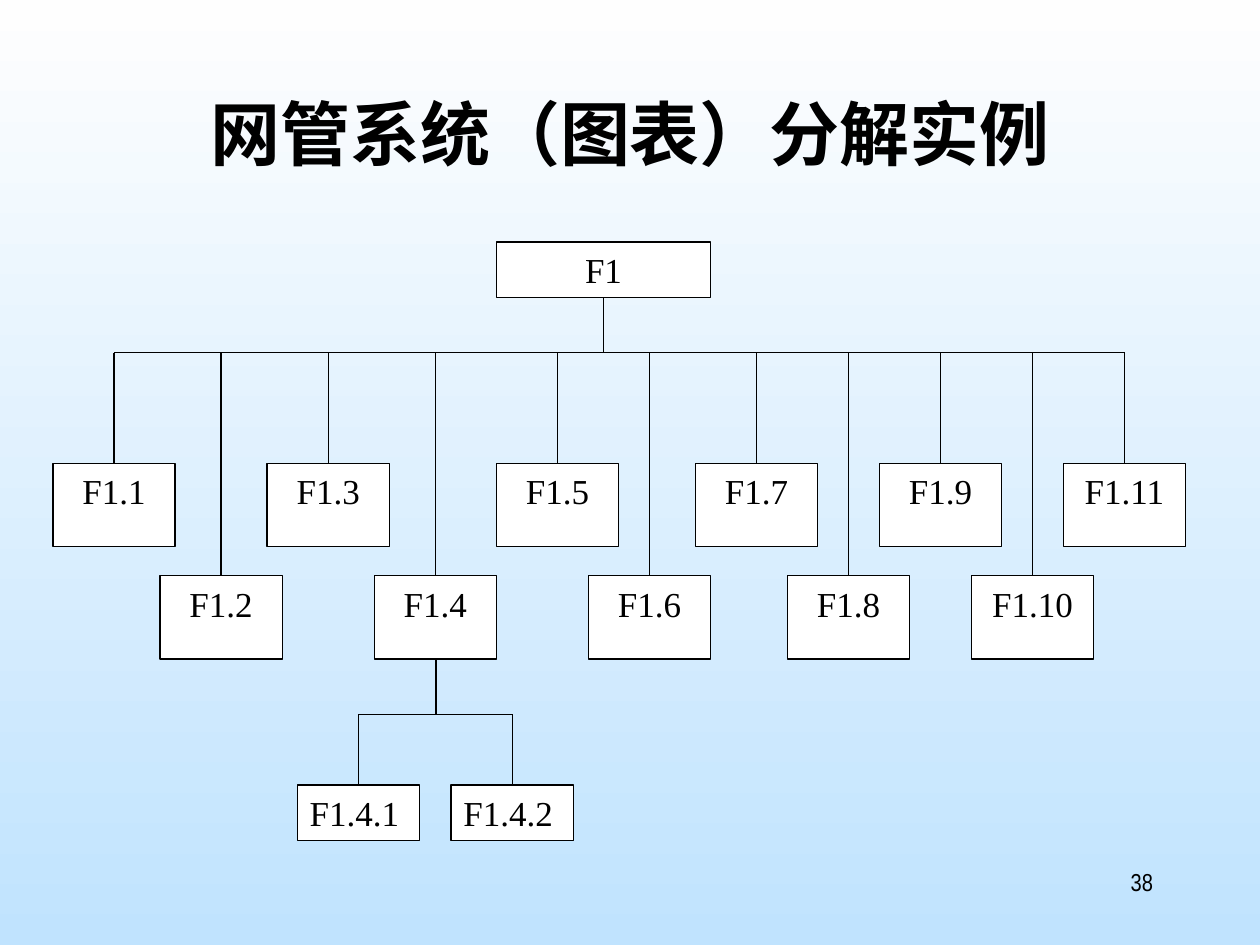
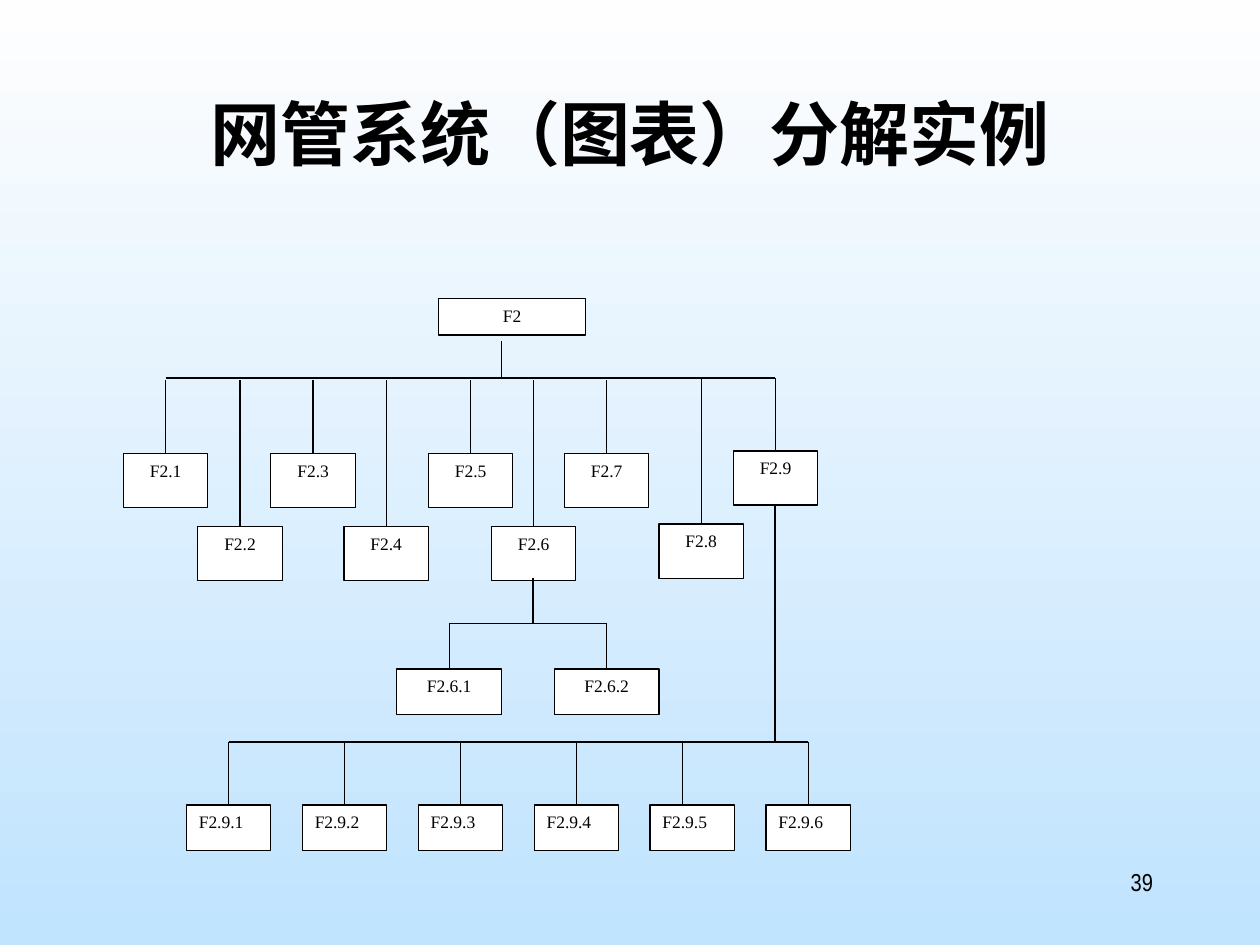
from dataclasses import dataclass, field
from itertools import cycle

from lxml import etree
from pptx import Presentation
from pptx.dml.color import RGBColor
from pptx.enum.shapes import MSO_CONNECTOR, MSO_SHAPE
from pptx.enum.text import MSO_ANCHOR, PP_ALIGN
from pptx.oxml.ns import qn
from pptx.util import Inches, Pt

RECTANGLE = MSO_SHAPE.RECTANGLE
STRAIGHT = MSO_CONNECTOR.STRAIGHT
TOP = MSO_ANCHOR.TOP
CENTER = PP_ALIGN.CENTER
RIGHT = PP_ALIGN.RIGHT
JUSTIFY = PP_ALIGN.JUSTIFY


@dataclass(frozen=True)
class Theme:
    ink: RGBColor = RGBColor.from_string("000000")
    node_fill: RGBColor = RGBColor.from_string("FFFFFF")
    sky_top: RGBColor = RGBColor.from_string("FEFEFE")
    sky_bottom: RGBColor = RGBColor.from_string("C0E3FE")
    title_font: str = "Noto Sans CJK SC"
    node_font: str = "Times New Roman"
    number_font: str = "Arial Narrow"
    title_size: int = 40
    large_node_size: int = 20
    small_node_size: int = 10
    number_size: int = 14
    line_width: float = 0.75


@dataclass(frozen=True)
class Box:
    left: float
    top: float
    width: float
    height: float

    def inside(self, area):
        return Box(area.left + self.left, area.top + self.top, self.width, self.height)

    def lengths(self):
        return [Inches(n) for n in (self.left, self.top, self.width, self.height)]


@dataclass(frozen=True)
class Family:
    parent: str
    trunk: tuple
    rail: float
    lefts: list
    tops: list
    width: float
    height: float
    align: PP_ALIGN = CENTER
    lowered: int = 0
    drop_shifts: dict = field(default_factory=dict)


@dataclass(frozen=True)
class Tree:
    number: str
    area: Box
    root: str
    root_box: Box
    text_size: int
    families: list


THEME = Theme()
TITLE = "网管系统（图表）分解实例"
TITLE_BOX = Box(0.75, 0.67, 8.5, 1.25)
NUMBER_BOX = Box(7.17, 6.83, 2.08, 0.5)
LOWERING = 0.02

TREES = [
    Tree("38", Box(0.42, 1.92, 8.99, 4.75), "F1", Box(3.52, 0, 1.7, 0.44),
         THEME.large_node_size, [
        Family("F1", (4.37, 0.44), 0.88,
               [0, 0.85, 1.7, 2.55, 3.52, 4.25, 5.1, 5.83, 6.56, 7.29, 8.02],
               [1.76, 2.65], 0.97, 0.66),
        Family("F1.4", (3.04, 3.31), 3.75, [1.94, 3.16], [4.31], 0.97, 0.44, JUSTIFY),
    ]),
    Tree("39", Box(0.98, 2.37, 5.76, 4.38), "F2", Box(2.5, 0, 1.17, 0.29),
         THEME.small_node_size, [
        Family("F2", (3, 0.34), 0.63,
               [0, 0.59, 1.17, 1.75, 2.42, 2.92, 3.5, 4.25, 4.84],
               [1.21, 1.79], 0.67, 0.43, lowered=7),
        Family("F2.6", (3.25, 2.22), 2.58, [2.17, 3.42], [2.94], 0.83, 0.36),
        Family("F2.9", (5.17, 1.64), 3.52, [0.5 + 0.92 * step for step in range(6)],
               [4.02], 0.67, 0.36, JUSTIFY, drop_shifts={5: -0.08}),
    ]),
]


def write_text(shape, text, font_name, size, align, bold=False):
    frame = shape.text_frame
    frame.word_wrap = True
    frame.vertical_anchor = TOP
    frame.text = text
    para = frame.paragraphs[0]
    para.alignment = align
    span = para.runs[0]
    span.font.name = font_name
    span.font.size = Pt(size)
    span.font.bold = bold
    span.font.color.rgb = THEME.ink
    east_asian = etree.SubElement(span.font._element, qn("a:ea"))
    east_asian.set("typeface", font_name)


def draw_background(page):
    fill = page.background.fill
    fill.gradient()
    fill.gradient_angle = 270
    for stop, position, color in zip(
        fill.gradient_stops, (0, 1), (THEME.sky_top, THEME.sky_bottom)
    ):
        stop.position = position
        stop.color.rgb = color


def draw_frame(page, number):
    draw_background(page)
    title = page.shapes.add_textbox(*TITLE_BOX.lengths())
    write_text(title, TITLE, THEME.title_font, THEME.title_size, CENTER, bold=True)
    footer = page.shapes.add_textbox(*NUMBER_BOX.lengths())
    write_text(footer, number, THEME.number_font, THEME.number_size, RIGHT)


def draw_node(page, box, label, size, align=CENTER):
    node = page.shapes.add_shape(RECTANGLE, *box.lengths())
    node.shadow.inherit = False
    node.fill.solid()
    node.fill.fore_color.rgb = THEME.node_fill
    node.line.color.rgb = THEME.ink
    node.line.width = Pt(THEME.line_width)
    write_text(node, label, THEME.node_font, size, align)


def draw_line(page, area, start, end):
    points = [Inches(n) for x, y in (start, end) for n in (area.left + x, area.top + y)]
    line = page.shapes.add_connector(STRAIGHT, *points)
    line.line.color.rgb = THEME.ink
    line.line.width = Pt(THEME.line_width)
    etree.SubElement(line._element.spPr, qn("a:effectLst"))


def draw_family(page, area, family, size):
    centers = [left + family.width / 2 for left in family.lefts]
    trunk_x, trunk_top = family.trunk
    draw_line(page, area, (trunk_x, trunk_top), (trunk_x, family.rail))
    draw_line(page, area, (centers[0], family.rail), (centers[-1], family.rail))
    children = zip(family.lefts, centers, cycle(family.tops))
    for index, (left, center, top) in enumerate(children, start=1):
        offset = LOWERING if index <= family.lowered else 0
        drop_x = center + family.drop_shifts.get(index, 0)
        draw_line(page, area, (drop_x, family.rail + offset), (drop_x, top + offset))
        box = Box(left, top + offset, family.width, family.height).inside(area)
        draw_node(page, box, f"{family.parent}.{index}", size, family.align)


def draw_tree(page, tree):
    draw_node(page, tree.root_box.inside(tree.area), tree.root, tree.text_size)
    for family in tree.families:
        draw_family(page, tree.area, family, tree.text_size)


def main():
    deck = Presentation()
    deck.slide_width = Inches(10)
    deck.slide_height = Inches(7.5)
    blank = deck.slide_layouts[6]
    for tree in TREES:
        page = deck.slides.add_slide(blank)
        draw_frame(page, tree.number)
        draw_tree(page, tree)
    deck.save("out.pptx")


if __name__ == "__main__":
    main()
